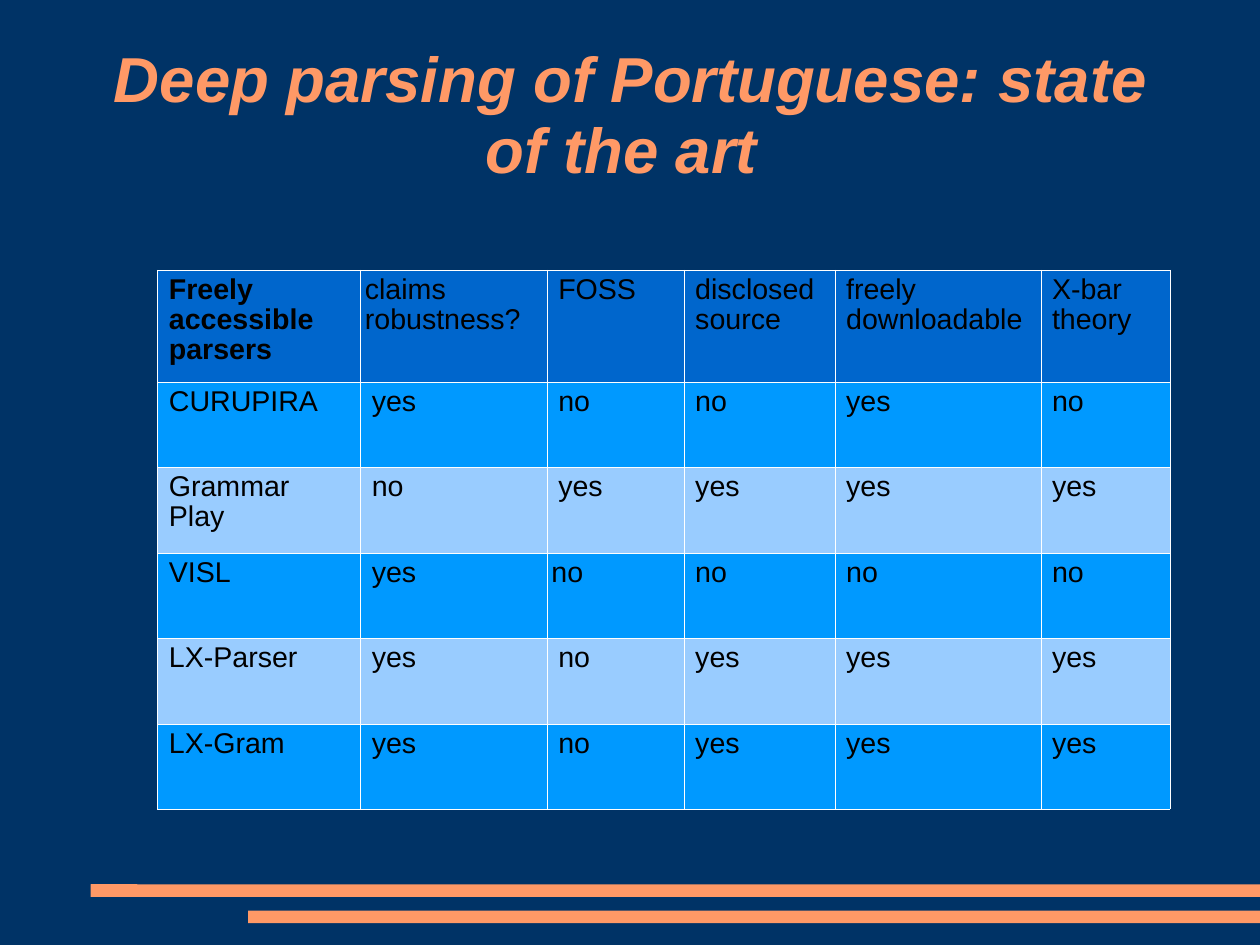
from dataclasses import dataclass

from lxml.etree import SubElement
from pptx import Presentation
from pptx.dml.color import RGBColor
from pptx.enum.shapes import MSO_SHAPE as Preset
from pptx.enum.text import MSO_ANCHOR as Anchor, PP_ALIGN as Align
from pptx.oxml.ns import qn
from pptx.slide import Slide
from pptx.table import _Cell as Cell
from pptx.text.text import _Paragraph as Paragraph
from pptx.util import Pt

PAGE_WIDTH, PAGE_HEIGHT = 793.75, 595.25
LINE_SPACING = 0.93
BORDER_WIDTH = 0.06
WIDE_INSET, NARROW_INSET, TOP_INSET = 7.2, 2.88, 3.6
COLORS = {
    "background": "003366",
    "accent": "FF9966",
    "header": "0066CC",
    "odd row": "0099FF",
    "even row": "99CCFF",
    "border": "FFFFFF",
    "text": "000000",
}

TABLE_LEFT, TABLE_TOP = 99.2, 170.1
COLUMN_WIDTHS = [127.8, 117.5, 86.3, 95.1, 129.7, 81.4]
HEADER_HEIGHT, ROW_HEIGHT = 70.5, 53.85
PARSER_ROWS = [
    ["Freely accessible parsers", "claims robustness?", "FOSS",
     "disclosed source", "freely downloadable", "X-bar theory"],
    ["CURUPIRA", "yes", "no", "no", "yes", "no"],
    ["Grammar Play", "no", "yes", "yes", "yes", "yes"],
    ["VISL", "yes", "no", "no", "no", "no"],
    ["LX-Parser", "yes", "no", "yes", "yes", "yes"],
    ["LX-Gram", "yes", "no", "yes", "yes", "yes"],
]
NARROW_INSET_CELLS = {(0, 1), (3, 2)}


@dataclass(frozen=True)
class FooterBar:
    """A bar that runs from its left end to the right edge of the page."""
    left: float
    top: float
    height: float = 7.9


FOOTER_BARS = [FooterBar(57.1, 557), FooterBar(156.4, 573.6)]


def color(name: str) -> RGBColor:
    return RGBColor.from_string(COLORS[name])


def style_paragraph(para: Paragraph, size: float, color_name: str,
                    bold: bool = False, italic: bool = False) -> None:
    para.line_spacing = LINE_SPACING
    font = para.font
    font.name, font.size = "Arial", Pt(size)
    font.bold, font.italic = bold, italic
    font.color.rgb = color(color_name)


def add_footer_bar(page: Slide, bar: FooterBar) -> None:
    shape = page.shapes.add_shape(
        Preset.ROUNDED_RECTANGLE, Pt(bar.left), Pt(bar.top),
        Pt(PAGE_WIDTH - bar.left), Pt(bar.height))
    shape.adjustments[0] = 0.02
    shape.shadow.inherit = False
    shape.fill.solid()
    shape.fill.fore_color.rgb = color("accent")
    shape.line.fill.background()


def add_title(page: Slide) -> None:
    box = page.shapes.add_textbox(Pt(58.3), Pt(22.3), Pt(677.5), Pt(99.4))
    frame = box.text_frame
    frame.word_wrap = True
    frame.vertical_anchor = Anchor.MIDDLE
    frame.margin_left = frame.margin_right = frame.margin_bottom = 0
    frame.margin_top = Pt(2.88)
    para = frame.paragraphs[0]
    para.text = "Deep parsing of Portuguese: state of the art "
    para.alignment = Align.CENTER
    style_paragraph(para, 40, "accent", bold=True, italic=True)


def add_borders(cell: Cell) -> None:
    properties = cell._tc.get_or_add_tcPr()
    for side in ("lnL", "lnR", "lnT", "lnB"):
        line = SubElement(properties, qn(f"a:{side}"), w=str(Pt(BORDER_WIDTH)))
        fill = SubElement(line, qn("a:solidFill"))
        SubElement(fill, qn("a:srgbClr"), val=COLORS["border"])


def fill_cell(cell: Cell, text: str, fill_name: str, inset: float,
              bold: bool) -> None:
    cell.margin_left = cell.margin_right = Pt(inset)
    cell.margin_top = cell.margin_bottom = Pt(TOP_INSET)
    add_borders(cell)
    cell.fill.solid()
    cell.fill.fore_color.rgb = color(fill_name)
    para = cell.text_frame.paragraphs[0]
    para.text = text
    style_paragraph(para, 18, "text", bold)


def row_fill(row: int) -> str:
    if row == 0:
        return "header"
    return "odd row" if row % 2 else "even row"


def add_parser_table(page: Slide) -> None:
    heights = [HEADER_HEIGHT] + [ROW_HEIGHT] * (len(PARSER_ROWS) - 1)
    table = page.shapes.add_table(
        len(heights), len(COLUMN_WIDTHS), Pt(TABLE_LEFT), Pt(TABLE_TOP),
        Pt(sum(COLUMN_WIDTHS)), Pt(sum(heights))).table
    table.first_row = table.horz_banding = False
    for column, width in zip(table.columns, COLUMN_WIDTHS):
        column.width = Pt(width)
    for row, (texts, height) in enumerate(zip(PARSER_ROWS, heights)):
        table.rows[row].height = Pt(height)
        for column, text in enumerate(texts):
            narrow = (row, column) in NARROW_INSET_CELLS
            fill_cell(table.cell(row, column), text, row_fill(row),
                      NARROW_INSET if narrow else WIDE_INSET,
                      bold=row == column == 0)


def main() -> None:
    deck = Presentation()
    deck.slide_width, deck.slide_height = Pt(PAGE_WIDTH), Pt(PAGE_HEIGHT)
    page = deck.slides.add_slide(deck.slide_layouts[6])
    page.background.fill.solid()
    page.background.fill.fore_color.rgb = color("background")
    for bar in FOOTER_BARS:
        add_footer_bar(page, bar)
    add_title(page)
    add_parser_table(page)
    deck.save("out.pptx")


if __name__ == "__main__":
    main()
